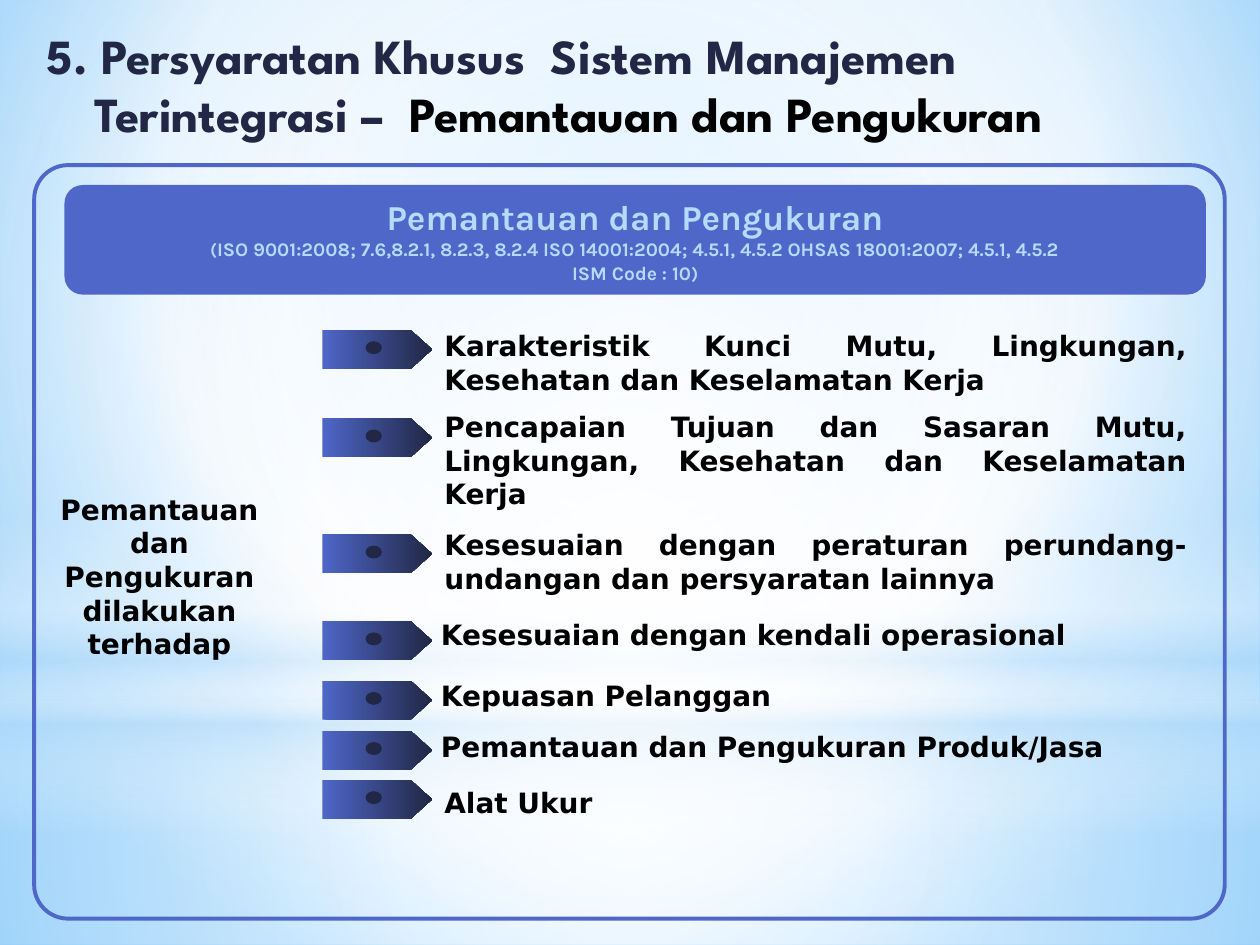
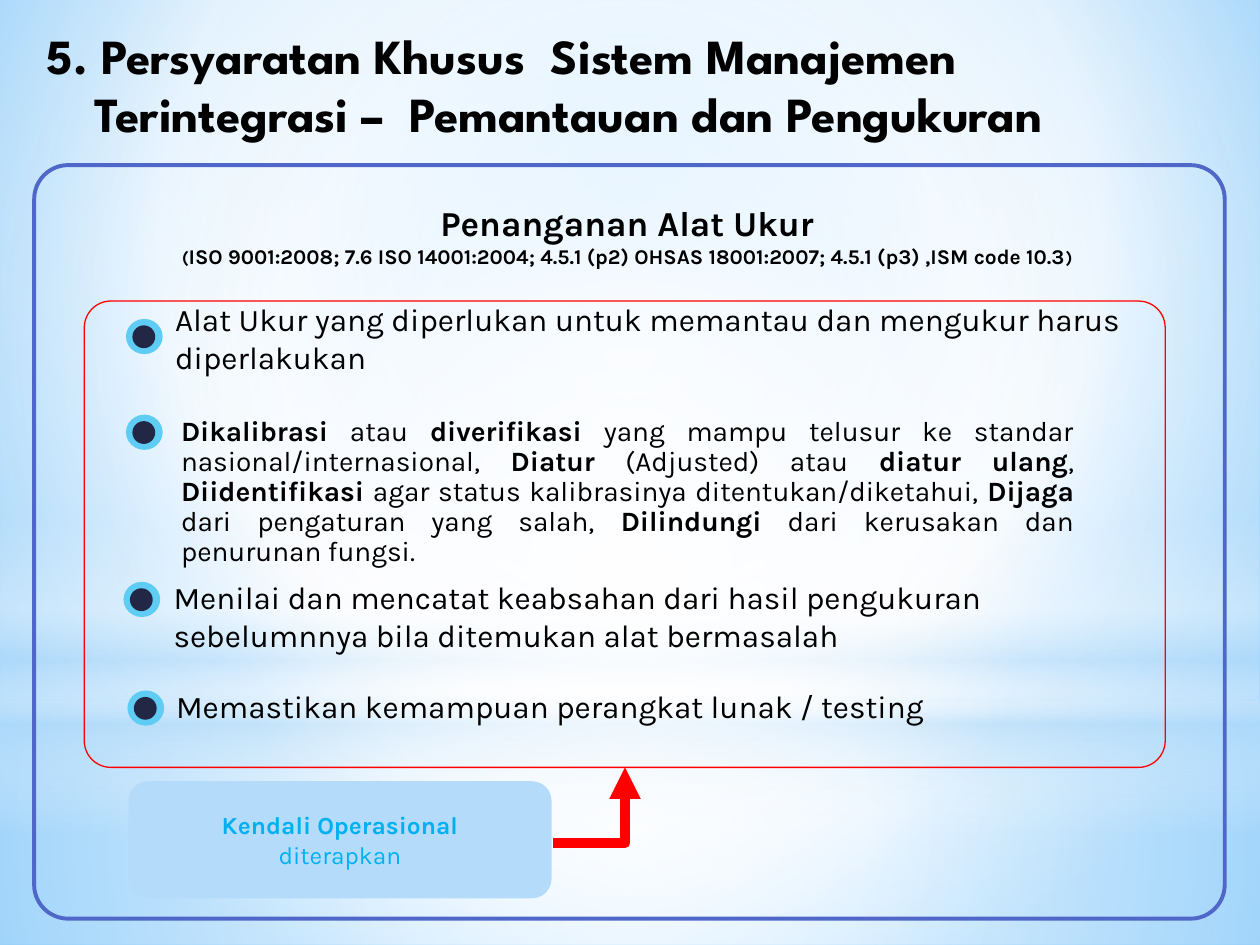
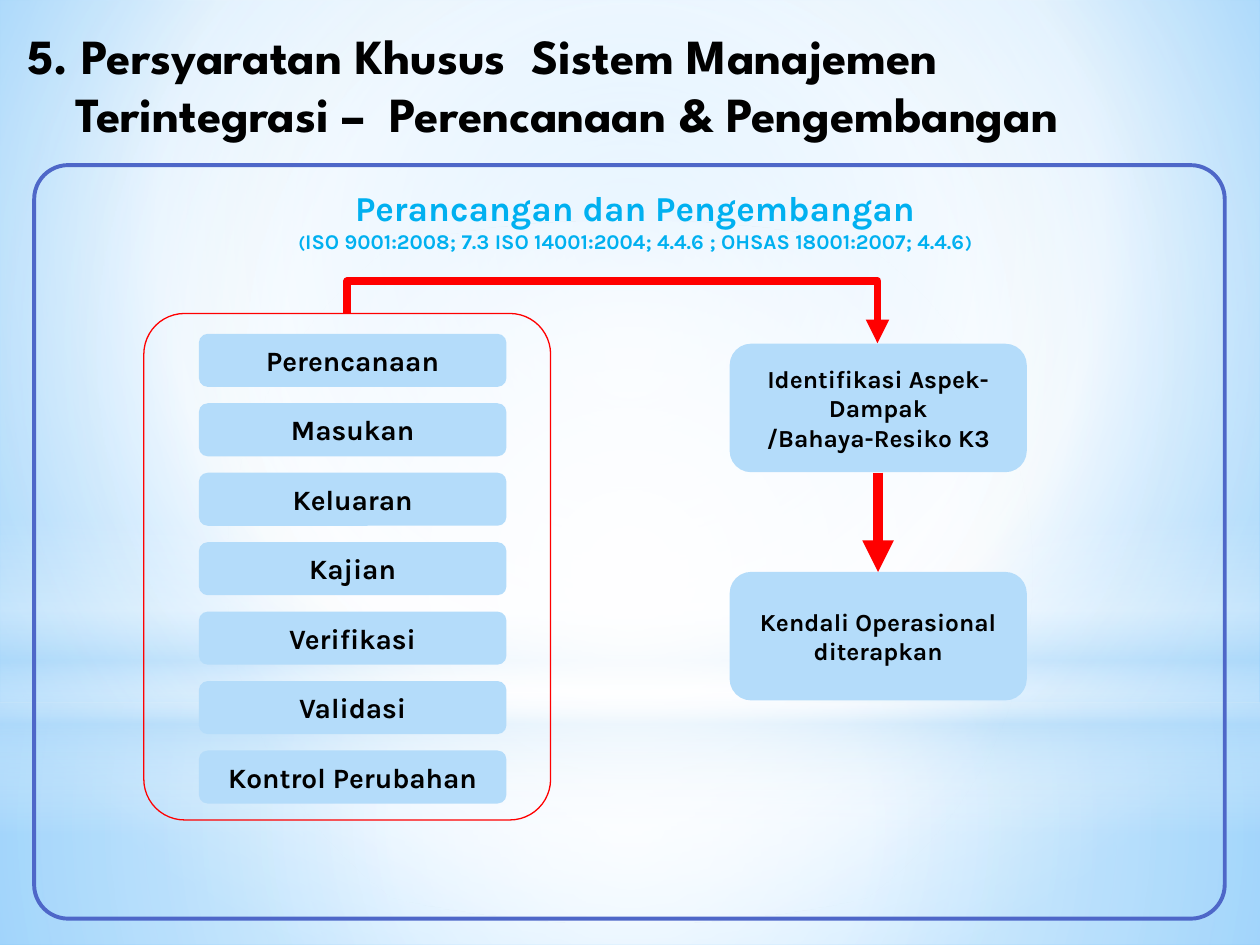
from lxml import etree
from pptx import Presentation
from pptx.dml.color import RGBColor
from pptx.enum import shapes, text
from pptx.oxml.ns import qn
from pptx.util import Cm, Pt

BLUE = RGBColor(0x4E, 0x67, 0xC8)
NAVY = RGBColor(0x21, 0x27, 0x45)
PALE = RGBColor(0xB4, 0xDC, 0xFA)
CYAN = RGBColor(0x5E, 0xCC, 0xF3)
SKY = RGBColor(0x00, 0xB0, 0xF0)
RED = RGBColor(0xFF, 0x00, 0x00)
BLACK = RGBColor(0x00, 0x00, 0x00)
WHITE = RGBColor(0xFF, 0xFF, 0xFF)
BACK_INNER = RGBColor(0x9E, 0xD5, 0xFF)
BACK_OUTER = RGBColor(0x5B, 0xB9, 0xFF)
TITLE_FONT, BODY_FONT, LIST_FONT = "League Spartan", "Karla", "DejaVu Sans"

SHAPE = shapes.MSO_SHAPE
ROUND, OVAL, RECT = SHAPE.ROUNDED_RECTANGLE, SHAPE.OVAL, SHAPE.RECTANGLE
LEFT, CENTER, JUSTIFY = text.PP_ALIGN.LEFT, text.PP_ALIGN.CENTER, text.PP_ALIGN.JUSTIFY


def paint(element, stops, angle=None, focus=(50, 50, 50, 50)):
    """Fill the element's gradient with (position, colour, opacity) stops, linear or circular."""
    grad = element.find(".//" + qn("a:gradFill"))
    grad.clear()
    stop_list = etree.SubElement(grad, qn("a:gsLst"))
    for pos, color, alpha in stops:
        gs = etree.SubElement(stop_list, qn("a:gs"), pos=str(pos * 1000))
        clr = etree.SubElement(gs, qn("a:srgbClr"), val=str(color))
        etree.SubElement(clr, qn("a:alpha"), val=str(alpha * 1000))
    if angle is not None:
        etree.SubElement(grad, qn("a:lin"), ang=str(angle * 60000), scaled="0")
    else:
        path = etree.SubElement(grad, qn("a:path"), path="circle")
        rect = etree.SubElement(path, qn("a:fillToRect"))
        for side, value in zip("ltrb", focus):
            rect.set(side, str(value * 1000))


def box(s, kind, at, fill=None, line=None, weight=0.75, adj=None,
        paras=(), font=BODY_FONT, color=BLACK, align=CENTER):
    """Add a shape, or a text box if kind is None; paras hold (text, size, bold) runs."""
    at = [Cm(v) for v in at]
    if kind is None:
        sp = s.shapes.add_textbox(*at)
    else:
        sp = s.shapes.add_shape(kind, *at)
        sp.shadow.inherit = False
        if fill is None:
            sp.fill.background()
        else:
            sp.fill.solid()
            sp.fill.fore_color.rgb = fill
        if line is None:
            sp.line.fill.background()
        else:
            sp.line.color.rgb = line
            sp.line.width = Pt(weight)
        if adj is not None:
            sp.adjustments[0] = adj
    tf = sp.text_frame
    tf.word_wrap = kind is None
    for i, runs in enumerate(paras):
        p = tf.add_paragraph() if i else tf.paragraphs[0]
        p.alignment = align
        for content, size, bold in runs:
            r = p.add_run()
            r.text = content
            r.font.name, r.font.size, r.font.bold = font, Pt(size), bold
            r.font.color.rgb = color
    return sp


prs = Presentation()
prs.slide_width, prs.slide_height = Cm(25.4), Cm(19.05)
master = prs.slide_master

# Titles and outer frame
PREFIX = "5. Persyaratan Khusus  Sistem Manajemen  Terintegrasi –  "
titles = [
    (0.69, NAVY, "Pemantauan dan Pengukuran"),
    (0.69, BLACK, "Pemantauan dan Pengukuran"),
    (0.3, BLACK, "Perencanaan & Pengembangan"),
]
for left, prefix_color, topic in titles:
    s = prs.slides.add_slide(prs.slide_layouts[5])
    title = s.shapes.title
    title.left, title.top, title.width, title.height = Cm(left), Cm(0.38), Cm(24.2), Cm(2.67)
    tf = title.text_frame
    tf.vertical_anchor = text.MSO_ANCHOR.TOP
    tf.auto_size = text.MSO_AUTO_SIZE.NONE
    tf.word_wrap = True
    p = tf.paragraphs[0]
    p.alignment = LEFT
    pPr = p._p.get_or_add_pPr()
    pPr.set("marL", str(Cm(0.96)))
    pPr.set("indent", str(-Cm(0.96)))
    for content, color in ((PREFIX, prefix_color), (topic, BLACK)):
        r = p.add_run()
        r.text = content
        r.font.name, r.font.size, r.font.bold = TITLE_FONT, Pt(28), True
        r.font.color.rgb = color
    box(s, ROUND, (0.69, 3.33, 24, 15.19), line=BLUE, weight=2.25, adj=0.045)
s1, s2, s3 = prs.slides

# Background and glow bands, kept on the master
master.background.fill.gradient()
paint(master.element, [(0, BACK_INNER, 100), (60, WHITE, 100), (100, BACK_OUTER, 100)],
      focus=(20, 10, 20, 60))
glows = [
    (RECT, 14.17, 4.88, None, [(0, WHITE, 91), (37, WHITE, 76), (100, PALE, 79)]),
    (RECT, 0, 14.17, None, [(0, WHITE, 89), (48, WHITE, 62), (100, PALE, 79)]),
    (RECT, 10.46, 6.35, 90, [(0, WHITE, 0), (29, WHITE, 30), (45, PALE, 40),
                             (55, WHITE, 26), (65, PALE, 60), (100, WHITE, 0)]),
    (OVAL, 4.45, 14.17, None, [(0, WHITE, 100), (56, WHITE, 0)]),
]
for i, (kind, top, height, angle, stops) in enumerate(glows):
    glow = box(s1, kind, (0, top, 25.4, height))
    glow.fill.gradient()
    paint(glow.element, stops, angle)
    glow.element.nvSpPr.cNvPr.set("id", str(20 + i))
    master.shapes.element.insert(2 + i, glow.element)

# Headings
headings = [
    (s1, (1.3, 3.73, 23.01, 2.21), BLUE, PALE, "Pemantauan dan Pengukuran",
     [[("(", 10, True),
       ("ISO 9001:2008; 7.6,8.2.1, 8.2.3, 8.2.4 ISO 14001:2004; 4.5.1, 4.5.2 "
        "OHSAS 18001:2007; 4.5.1, 4.5.2", 11, True)],
      [("ISM Code : 10", 11, True), (")", 10, True)]]),
    (s2, (1.14, 3.73, 23.01, 2.01), None, BLACK, "Penanganan Alat Ukur",
     [[("(", 10, True),
       ("ISO 9001:2008; 7.6 ISO 14001:2004; 4.5.1 (p2) OHSAS 18001:2007; 4.5.1 (p3) "
        ",ISM code 10.3", 12, True), (")", 10, True)]]),
    (s3, (1.3, 3.33, 23.01, 2.21), None, SKY, "Perancangan dan Pengembangan",
     [[("(", 10, True),
       ("ISO 9001:2008; 7.3 ISO 14001:2004; 4.4.6 ; OHSAS 18001:2007; 4.4.6", 12, True),
       (")", 10, True)]]),
]
for s, at, fill, color, heading, clauses in headings:
    box(s, ROUND, at, fill=fill, color=color, paras=[[(heading, 20, True)]] + clauses)

# Slide 1: monitored items
box(s1, None, (0.51, 9.8, 5.41, 3.66), font=LIST_FONT,
    paras=[[("Pemantauan dan Pengukuran dilakukan terhadap", 16, True)]])
items = [
    (6.65, 8.71, 6.5, 1.63,
     "Karakteristik Kunci Mutu, Lingkungan, Kesehatan dan Keselamatan Kerja"),
    (8.43, 8.71, 8.13, 2.31,
     "Pencapaian Tujuan dan Sasaran Mutu, Lingkungan, Kesehatan dan Keselamatan Kerja"),
    (10.77, 8.71, 10.52, 1.63,
     "Kesesuaian dengan peraturan perundang-undangan dan persyaratan lainnya"),
    (12.52, 8.64, 12.32, 0.94, "Kesesuaian dengan kendali operasional"),
    (13.72, 8.64, 13.56, 0.94, "Kepuasan Pelanggan"),
    (14.73, 8.64, 14.58, 0.94, "Pemantauan dan Pengukuran Produk/Jasa"),
    (15.72, 8.71, 15.72, 0.94, "Alat Ukur"),
]
for tag_top, left, top, height, item in items:
    tag = s1.shapes.add_group_shape()
    plate = box(tag, SHAPE.PENTAGON, (6.5, tag_top, 2.21, 0.79), adj=0.552)
    plate.fill.gradient()
    paint(plate.element, [(0, BLUE, 100), (100, NAVY, 100)], angle=0)
    box(tag, OVAL, (7.37, tag_top + 0.23, 0.33, 0.26), fill=NAVY)
    box(s1, None, (left, top, 15.47, height), font=LIST_FONT, align=JUSTIFY,
        paras=[[(item, 16, True)]])

# Slide 2: handling of measuring tools
box(s2, ROUND, (1.7, 6.07, 21.79, 9.4), line=RED, adj=0.057)
for left, top in ((2.54, 6.43), (2.54, 8.36), (2.49, 11.73), (2.57, 13.92)):
    bullet = s2.shapes.add_group_shape()
    box(bullet, OVAL, (left, top, 0.74, 0.71), fill=CYAN)
    box(bullet, OVAL, (left + 0.13, top + 0.13, 0.46, 0.46), fill=NAVY)
points = [
    ((3.28, 5.92, 19.56, 4.45), JUSTIFY,
     "Alat Ukur yang diperlukan untuk memantau dan mengukur harus diperlakukan"),
    ((3.25, 11.53, 19.58, 1.6), LEFT,
     "Menilai dan mencatat keabsahan dari hasil pengukuran sebelumnnya "
     "bila ditemukan alat bermasalah"),
    ((3.3, 13.72, 19.58, 1.09), LEFT, "Memastikan kemampuan perangkat lunak / testing"),
]
for at, align, point in points:
    box(s2, None, at, align=align, paras=[[(point, 18, False)]])
treatments = [
    "Dikalibrasi", " atau ", "diverifikasi",
    " yang mampu telusur ke standar nasional/internasional, ",
    "Diatur", " (Adjusted) atau ", "diatur ulang", ", ",
    "Diidentifikasi", " agar status kalibrasinya ditentukan/diketahui, ",
    "Dijaga", " dari pengaturan yang salah, ",
    "Dilindungi", " dari kerusakan dan penurunan fungsi.",
]
detail = box(s2, None, (3.1, 8.28, 18.8, 3), align=JUSTIFY,
             paras=[[(part, 16, i % 2 == 0) for i, part in enumerate(treatments)]])
p = detail.text_frame.paragraphs[0]
p.line_spacing = 0.9
p._p.get_or_add_pPr().set("marL", str(Cm(0.3)))
box(s2, ROUND, (2.59, 15.75, 8.53, 2.36), fill=PALE, color=SKY,
    paras=[[("Kendali Operasional", 14, True)], [("diterapkan", 14, False)]])

# Slide 3: design steps and controls
box(s3, ROUND, (2.9, 6.32, 8.2, 10.21), line=RED, adj=0.1)
steps = ["Perencanaan", "Masukan", "Keluaran", "Kajian", "Verifikasi", "Validasi",
         "Kontrol Perubahan"]
for i, step in enumerate(steps):
    box(s3, ROUND, (4.01, 6.73 + 1.4 * i, 6.2, 1.07), fill=PALE, paras=[[(step, 16, True)]])
controls = [
    (6.93, ["Identifikasi Aspek-", "Dampak", "/Bahaya-Resiko K3"]),
    (11.53, ["Kendali Operasional", "diterapkan"]),
]
for top, lines in controls:
    box(s3, ROUND, (14.71, top, 5.99, 2.59), fill=PALE,
        paras=[[(content, 14, True)] for content in lines])

# Red arrows
ELBOW, STRAIGHT = shapes.MSO_CONNECTOR.ELBOW, shapes.MSO_CONNECTOR.STRAIGHT
arrows = [
    (s2, ELBOW, (11.15, 17, 12.6, 15.47), 6, "bentConnector2"),
    (s3, ELBOW, (12.04, 11.96, 12.65, 1.27), 4.5, "bentConnector3"),
    (s3, STRAIGHT, (17.7, 9.53, 17.7, 11.53), 6, "line"),
]
for s, kind, ends, width, preset in arrows:
    arrow = s.shapes.add_connector(kind, *[Cm(v) for v in ends])
    arrow.line.color.rgb = RED
    arrow.line.width = Pt(width)
    spPr = arrow.element.spPr
    etree.SubElement(spPr.find(qn("a:ln")), qn("a:tailEnd"), type="triangle")
    etree.SubElement(spPr, qn("a:effectLst"))
    geom = spPr.find(qn("a:prstGeom"))
    geom.set("prst", preset)
    if preset == "bentConnector3":
        # Turned a quarter so that it rises above both boxes
        spPr.find(qn("a:xfrm")).set("rot", str(90 * 60000))
        etree.SubElement(geom.find(qn("a:avLst")), qn("a:gd"), name="adj1", fmla="val -105000")

prs.save("out.pptx")
